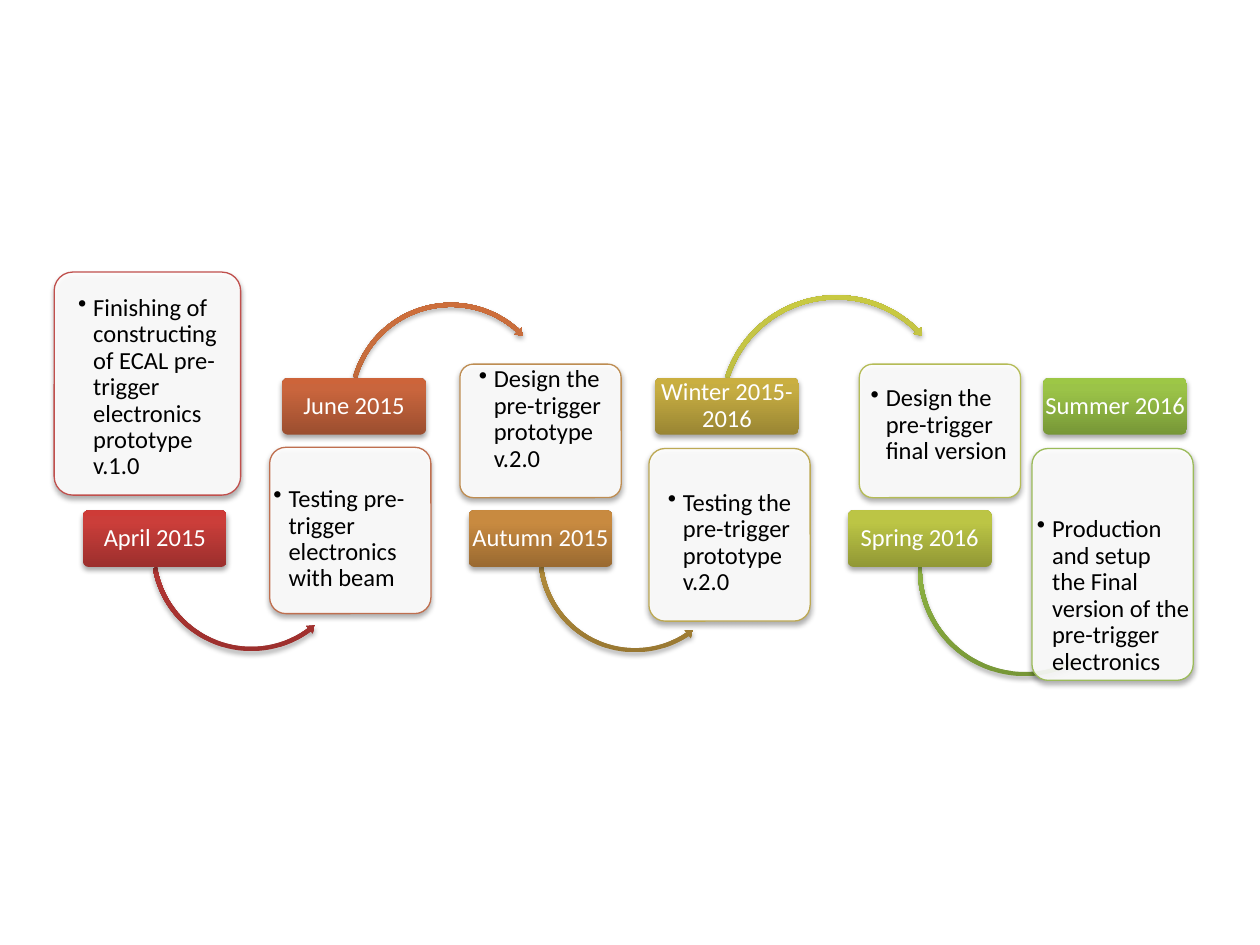
import copy

import lxml.etree
import pptx
import pptx.dml.color
import pptx.enum.shapes
import pptx.enum.text
import pptx.oxml.ns
import pptx.util

Inches = pptx.util.Inches
Pt = pptx.util.Pt
SHAPES = pptx.enum.shapes.MSO_SHAPE
ALIGN = pptx.enum.text.PP_ALIGN
ANCHOR = pptx.enum.text.MSO_ANCHOR
qn = pptx.oxml.ns.qn

COLORS = {
    "text": "000000", "paper": "FFFFFF", "shadow": "000000",
    "april": "C0504D", "june": "BF6F4F", "autumn": "BE8D52",
    "winter": "BDA954", "spring": "B5BC57", "summer": "9BBB59",
}
# Gradients run from the bottom (0 %) through 80 % to the top (100 %)
GRADIENTS = {
    "april": ("9C2F2D", "CB3E3A", "CE3B37"),
    "june": ("9B4E2F", "C9653D", "CD643A"),
    "autumn": ("9A6A31", "C88A40", "CB8B3D"),
    "winter": ("998533", "C6AD42", "CAAF40"),
    "spring": ("919835", "BCC545", "BFC843"),
    "summer": ("779737", "9BC348", "9DC746"),
    "june arrow": ("9B552F", "C96E3D", "CD6E3B"),
    "autumn arrow": ("997832", "C79C41", "CB9D3F"),
    "winter arrow": ("989835", "C5C545", "C8C942"),
}
STOPS = (0, 0.8, 1)
LABEL_SIZE = (1.14, 0.45)
UPPER, LOWER = 3.0, 4.05
LEFT_ARROW, RIGHT_ARROW = SHAPES.LEFT_CIRCULAR_ARROW, SHAPES.CIRCULAR_ARROW

# card: left, top, width, height; note: the same plus left inset, top inset
# arrow: shape, left, top, size, gradient, adjustments
MILESTONES = [
    dict(key="april", label="April 2015", spot=(0.66, LOWER),
         text="Finishing of constructing of ECAL pre-trigger electronics prototype v.1.0",
         card=(0.43, 2.16, 1.48, 1.77), note=(0.48, 2.2, 1.4, 1.31), inset=(0.14, 0.14),
         arrow=(LEFT_ARROW, 1.18, 3.56, 1.63, "april",
                (0.021, 2.501, 32.098, 102.087, 0.024))),
    dict(key="june", label="June 2015", spot=(2.24, UPPER),
         text="Testing pre-trigger electronics with beam",
         card=(2.14, 3.55, 1.28, 1.32), note=(2.17, 3.86, 1.22, 0.98),
         arrow=(RIGHT_ARROW, 2.75, 2.38, 1.66, "june arrow",
                (0.02, 2.454, 187.466, 117.431, 0.024))),
    dict(key="autumn", label="Autumn 2015", spot=(3.72, LOWER),
         text="Design the pre-trigger prototype v.2.0",
         card=(3.65, 2.89, 1.28, 1.06), note=(3.67, 2.91, 1.23, 0.78), inset=(0.13, 0),
         arrow=(LEFT_ARROW, 4.25, 3.62, 1.58, "autumn arrow",
                (0.021, 2.577, 33.691, 103.603, 0.025))),
    dict(key="winter", label="Winter 2015-2016", spot=(5.2, UPPER),
         text="Testing the pre-trigger prototype v.2.0",
         card=(5.15, 3.56, 1.28, 1.37), note=(5.18, 3.89, 1.22, 1.01), inset=(0.12, 0),
         arrow=(RIGHT_ARROW, 5.69, 2.32, 1.9, "winter arrow",
                (0.018, 2.13, 188.846, 118.486, 0.021))),
    dict(key="spring", label="Spring 2016", spot=(6.73, LOWER),
         text="Design the pre-trigger final version", anchor=ANCHOR.BOTTOM,
         card=(6.82, 2.89, 1.28, 1.06), note=(6.84, 2.91, 1.23, 0.78), inset=(0.07, 0),
         arrow=(LEFT_ARROW, 7.26, 3.64, 1.75, "summer",
                (0.019, 2.326, 38.432, 108.595, 0.023))),
    dict(key="summer", label="Summer 2016", spot=(8.28, UPPER),
         text="Production and setup the Final version of the pre-trigger electronics",
         anchor=ANCHOR.BOTTOM,
         card=(8.19, 3.56, 1.28, 1.84), note=(8.23, 3.99, 1.21, 1.37)),
]


def rgb(name):
    return pptx.dml.color.RGBColor.from_string(COLORS.get(name, name))


def write_text(box, text, font="Calibri", size=14, color="text", align=ALIGN.LEFT,
               anchor=ANCHOR.TOP, inset=(0, 0), bullet=False):
    frame = box.text_frame
    frame.word_wrap = True
    frame.vertical_anchor = anchor
    frame.margin_left, frame.margin_top = map(Inches, inset)
    frame.margin_right = frame.margin_bottom = 0
    para = frame.paragraphs[0]
    para.alignment = align
    para.line_spacing = 0.9
    if bullet:
        para.level = 1
        properties = para._p.get_or_add_pPr()
        properties.set("marL", str(Inches(0.12)))
        properties.set("indent", str(-Inches(0.12)))
        lxml.etree.SubElement(properties, qn("a:buChar")).set("char", "•")
    span = para.add_run()
    span.text = text
    span.font.name = font
    span.font.size = Pt(size)
    span.font.color.rgb = rgb(color)


class Timeline:
    def __init__(self, slide):
        self.slide = slide

    def shape(self, kind, place, adjustments):
        shape = self.slide.shapes.add_shape(kind, *map(Inches, place))
        for index, value in enumerate(adjustments):
            shape.adjustments[index] = value
        shape.line.fill.background()
        self.add_shadow(shape)
        return shape

    def add_shadow(self, shape):
        shape.shadow.inherit = False
        effects = shape._element.spPr.find(qn("a:effectLst"))
        shadow = lxml.etree.SubElement(
            effects, qn("a:outerShdw"), blurRad=str(Pt(3.1)), dist=str(Pt(1.8)),
            dir="5400000", rotWithShape="0")
        color = lxml.etree.SubElement(shadow, qn("a:srgbClr"), val=COLORS["shadow"])
        lxml.etree.SubElement(color, qn("a:alpha"), val="35000")

    def fill_gradient(self, shape, name):
        shape.fill.gradient()
        shape.fill.gradient_angle = 90
        stop_list = shape._element.spPr.find(".//" + qn("a:gsLst"))
        stop_list.append(copy.deepcopy(stop_list[-1]))
        for stop, position, color in zip(shape.fill.gradient_stops, STOPS, GRADIENTS[name]):
            stop.position = position
            stop.color.rgb = rgb(color)

    def text(self, place, text, **style):
        box = self.slide.shapes.add_textbox(*map(Inches, place))
        write_text(box, text, **style)

    def card(self, place, color):
        card = self.shape(SHAPES.ROUNDED_RECTANGLE, place, [0.1])
        card.fill.solid()
        card.fill.fore_color.rgb = rgb("paper")
        paper = card._element.spPr.find(qn("a:solidFill"))[0]
        lxml.etree.SubElement(paper, qn("a:alpha"), val="90000")
        card.line.color.rgb = rgb(color)
        card.line.width = Pt(0.75)

    def arrow(self, kind, left, top, size, gradient, adjustments):
        arrow = self.shape(kind, (left, top, size, size), adjustments)
        self.fill_gradient(arrow, gradient)

    def label(self, spot, text, gradient):
        left, top = spot
        width, height = LABEL_SIZE
        label = self.shape(SHAPES.ROUNDED_RECTANGLE, (left, top, width, height), [0.1])
        self.fill_gradient(label, gradient)
        self.text((left + 0.01, top + 0.01, width - 0.02, height - 0.02), text,
                  color="paper", align=ALIGN.CENTER, anchor=ANCHOR.MIDDLE)


def main():
    deck = pptx.Presentation()
    deck.slide_width, deck.slide_height = Inches(10), Inches(7.5)
    timeline = Timeline(deck.slides.add_slide(deck.slide_layouts[6]))

    # Each milestone: card with its note, arrow to the next one, date label
    for step in MILESTONES:
        timeline.card(step["card"], step["key"])
        timeline.text(step["note"], step["text"], bullet=True,
                      inset=step.get("inset", (0, 0)), anchor=step.get("anchor", ANCHOR.TOP))
        if "arrow" in step:
            timeline.arrow(*step["arrow"])
        timeline.label(step["spot"], step["label"], step["key"])

    deck.save("out.pptx")


if __name__ == "__main__":
    main()
